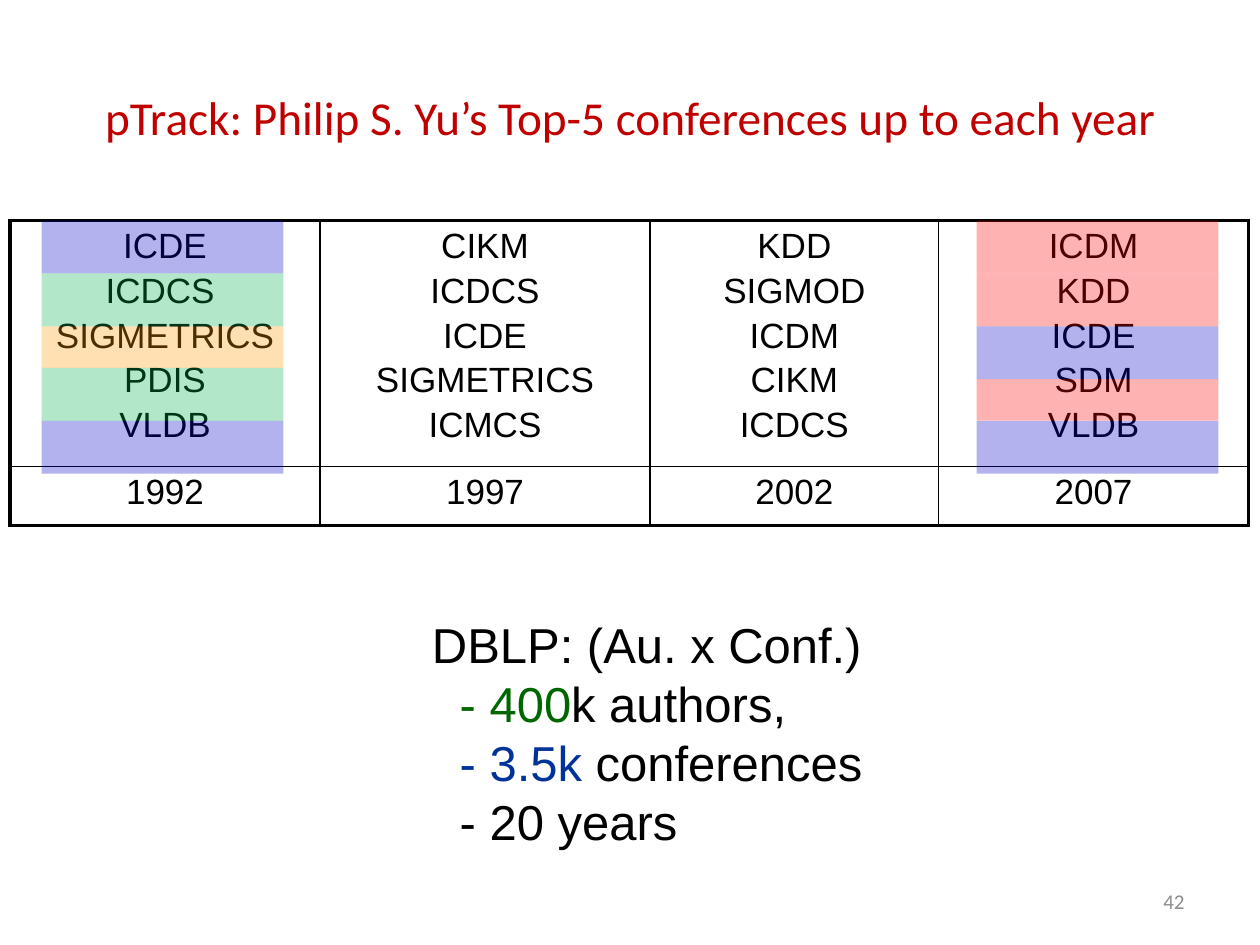
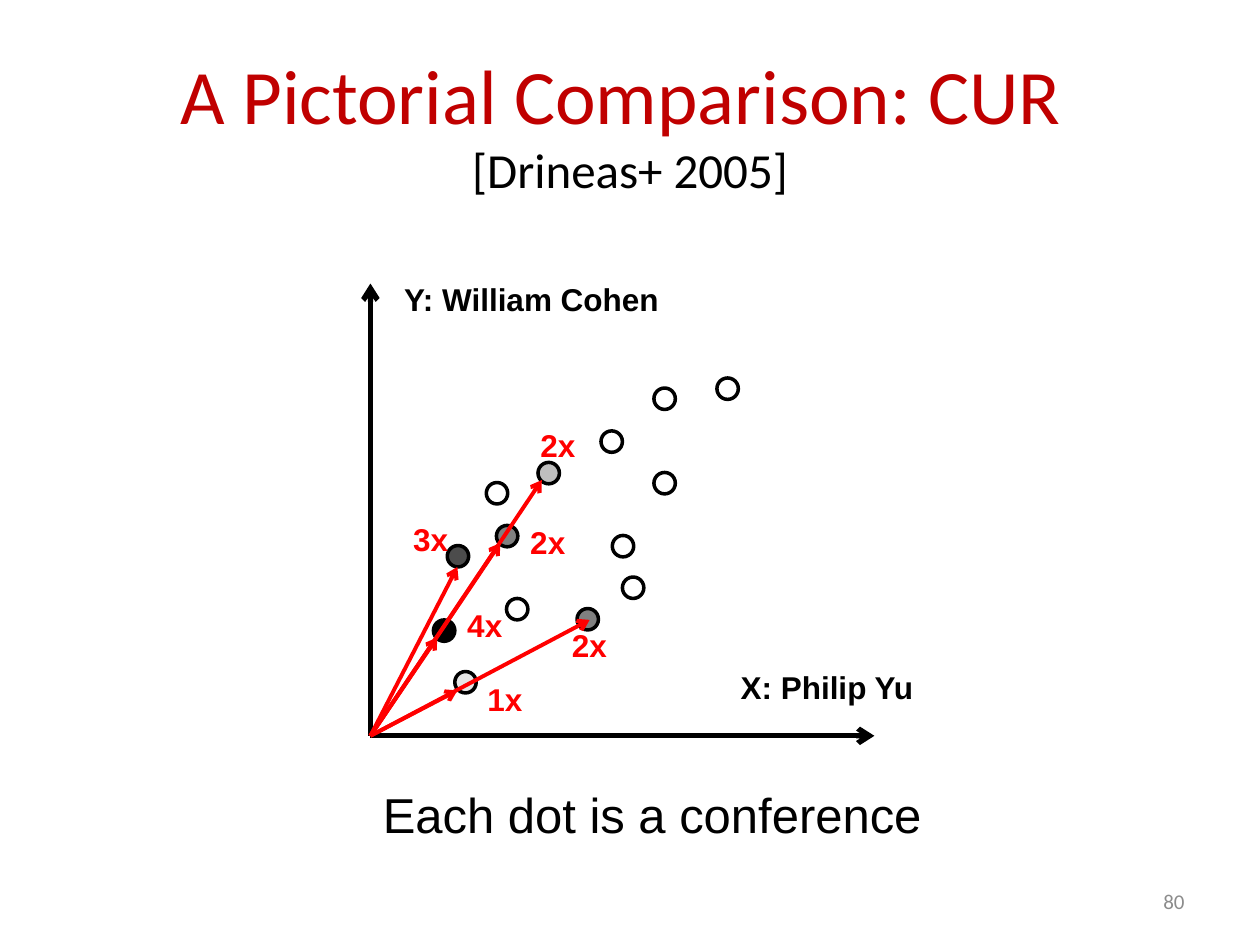
from lxml import etree
from pptx import Presentation
from pptx.dml.color import RGBColor
from pptx.enum.shapes import MSO_CONNECTOR, MSO_SHAPE
from pptx.enum.text import MSO_ANCHOR, MSO_AUTO_SIZE, PP_ALIGN
from pptx.oxml.ns import qn
from pptx.util import Pt

RECT = MSO_SHAPE.RECTANGLE
DOT = MSO_SHAPE.FLOWCHART_CONNECTOR
STRAIGHT = MSO_CONNECTOR.STRAIGHT
CENTER, RIGHT, LEFT = PP_ALIGN.CENTER, PP_ALIGN.RIGHT, PP_ALIGN.LEFT
MIDDLE, TOP = MSO_ANCHOR.MIDDLE, MSO_ANCHOR.TOP
NO_AUTOSIZE = MSO_AUTO_SIZE.NONE

EMU_PER_PX = 9144
TITLE_ONLY = 5
COLORS = {
    "title": "C00000", "black": "000000", "white": "FFFFFF", "number": "8C8C8C",
    "red": "FF0000", "blue": "0000CC", "green": "00B050", "orange": "FF9900",
    "authors": "006600", "conferences": "003399",
    "gray90": "E6E6E6", "gray75": "BFBFBF", "gray50": "808080", "gray30": "4C4C4C",
}


def px(*lengths):
    return [round(length * EMU_PER_PX) for length in lengths]


def rgb(name):
    return RGBColor.from_string(COLORS[name])


def style_run(r, size, color="black", font="Arial", bold=False):
    r.font.size = Pt(size)
    r.font.name = font
    r.font.bold = bold
    r.font.color.rgb = rgb(color)


def add_text(s, box, text, size, color="black", font="Arial", bold=False,
             align=LEFT, anchor=TOP, wrap=True):
    tf = s.shapes.add_textbox(*px(*box)).text_frame
    tf.word_wrap = wrap
    tf.vertical_anchor = anchor
    tf.text = text
    for p in tf.paragraphs:
        p.alignment = align
        for r in p.runs:
            style_run(r, size, color, font, bold)
    return tf


def add_shape(s, kind, box, fill, line=None, alpha=None):
    sp = s.shapes.add_shape(kind, *px(*box))
    sp.shadow.inherit = False
    sp.fill.solid()
    sp.fill.fore_color.rgb = rgb(fill)
    if alpha:
        color = sp.fill._xPr.find(qn("a:solidFill"))[0]
        etree.SubElement(color, qn("a:alpha")).set("val", str(alpha * 1000))
    if line:
        sp.line.color.rgb = rgb(line)
        sp.line.width = Pt(2)
    else:
        sp.line.fill.background()


def add_arrow(s, start, end, color, width):
    cx = s.shapes.add_connector(STRAIGHT, *px(*start, *end))
    cx.line.color.rgb = rgb(color)
    cx.line.width = Pt(width)
    etree.SubElement(cx.line._get_or_add_ln(), qn("a:tailEnd")).set("type", "arrow")
    etree.SubElement(cx._element.spPr, qn("a:effectLst"))


def new_slide(prs, title_box, title_lines, number):
    s = prs.slides.add_slide(prs.slide_layouts[TITLE_ONLY])
    title = s.shapes.title
    title.left, title.top, title.width, title.height = px(*title_box)
    tf = title.text_frame
    tf.auto_size = NO_AUTOSIZE
    tf.vertical_anchor = MIDDLE
    tf.text = "\v".join(text for text, _, _ in title_lines)
    p = tf.paragraphs[0]
    p.alignment = CENTER
    for r, (_, size, color) in zip(p.runs, title_lines):
        style_run(r, size, color, "Calibri")
    add_text(s, (717, 695, 233, 40), number, 12, "number", "Calibri",
             align=RIGHT, anchor=MIDDLE)
    return s


def border_cell(cell, widths):
    tcPr = cell._tc.get_or_add_tcPr()
    for i, (side, width) in enumerate(widths.items()):
        ln = etree.Element(qn("a:ln" + side), w=str(Pt(width)))
        fill = etree.SubElement(ln, qn("a:solidFill"))
        etree.SubElement(fill, qn("a:srgbClr")).set("val", COLORS["black"])
        tcPr.insert(i, ln)


def conference_table(s, box, rankings):
    widths, heights = (246, 262, 229, 246), (187, 47)
    table = s.shapes.add_table(2, len(widths), *px(*box)).table
    table.first_row = table.horz_banding = False
    for row, height in zip(table.rows, px(*heights)):
        row.height = height
    outer, inner = 2.25, 1
    last = len(widths) - 1
    for c, (year, conferences) in enumerate(rankings.items()):
        table.columns[c].width = px(widths[c])[0]
        for row, text in enumerate(("\n".join(conferences), year)):
            cell = table.cell(row, c)
            cell.fill.background()
            border_cell(cell, {
                "L": outer if c == 0 else inner, "R": outer if c == last else inner,
                "T": outer if row == 0 else inner, "B": outer if row == 1 else inner,
            })
            cell.text_frame.text = text
            for i, p in enumerate(cell.text_frame.paragraphs):
                p.alignment = CENTER
                p.space_before = Pt(3.3 if i else 0)
                style_run(p.runs[0], 20)


def highlight_column(s, x, y, bands):
    for color, height in bands:
        add_shape(s, RECT, (x, y, 192, height), color, alpha=30)
        y += height


def dataset_summary(s, box):
    lines = [
        [("DBLP: (Au. x Conf.)", "black")],
        [("- 400", "authors"), ("k authors,", "black")],
        [("- 3.5k ", "conferences"), ("conferences", "black")],
        [("- 20 years", "black")],
    ]
    tf = add_text(s, box, "", 28)
    for i, parts in enumerate(lines):
        p = tf.add_paragraph() if i else tf.paragraphs[0]
        if i:
            p._p.get_or_add_pPr().set("marL", str(px(22)[0]))
        for text, color in parts:
            r = p.add_run()
            r.text = text
            style_run(r, 28, color)


def ptrack_slide(prs):
    s = new_slide(prs, (0, 30, 1000, 125), [
        ("pTrack: Philip S. Yu’s Top-5 conferences up to each year", 27, "title")], "42")
    conference_table(s, (8, 175, 983, 234), {
        "1992": ("ICDE", "ICDCS ", "SIGMETRICS", "PDIS", "VLDB"),
        "1997": ("CIKM", "ICDCS", "ICDE", "SIGMETRICS", "ICMCS"),
        "2002": ("KDD", "SIGMOD", "ICDM", "CIKM", "ICDCS"),
        "2007": ("ICDM", "KDD", "ICDE", "SDM", "VLDB"),
    })
    highlight_column(s, 33, 175, [("blue", 42), ("green", 42), ("orange", 33),
                                  ("green", 42), ("blue", 42)])
    highlight_column(s, 775, 175, [("red", 42), ("red", 42), ("blue", 42),
                                   ("red", 33), ("blue", 42)])
    dataset_summary(s, (333, 483, 369, 199))


def scatter_plot(s, box):
    left, top, width, height = box
    dot = 17
    open_dots = [(92, 158), (108, 250), (192, 200), (225, 150),
                 (183, 117), (200, 233), (225, 83), (275, 75)]
    samples = [
        ("black", (50, 267), (53, 281), "4x", (67, 251)),
        ("gray75", (133, 142), (136, 156), "2x", (125, 108)),
        ("gray30", (61, 208), (69, 225), "3x", (24, 183)),
        ("gray50", (100, 192), (103, 206), "2x", (117, 185)),
        ("gray50", (164, 258), (174, 267), "2x", (150, 267)),
        ("gray90", (67, 308), (69, 323), "1x", (83, 310)),
    ]

    def at(point):
        return left + point[0], top + point[1]

    origin = at((0, height))
    for end in ((width, height), (0, 0)):
        add_arrow(s, origin, at(end), "black", 3)
    dots = [("white", point) for point in open_dots]
    dots += [(fill, point) for fill, point, *_ in samples]
    for fill, point in dots:
        add_shape(s, DOT, (*at(point), dot, dot), fill, "black")
    for _, _, tip, _, _ in samples:
        add_arrow(s, origin, at(tip), "red", 2.25)
    for _, _, _, count, point in samples:
        add_text(s, (*at(point), 48, 40), count, 18, "red", bold=True, wrap=False)
    add_text(s, (*at((284, 300)), 180, 40), "X: Philip Yu", 18, bold=True)
    add_text(s, (*at((17, -8)), 239, 40), "Y: William Cohen", 18, bold=True)


def cur_slide(prs):
    s = new_slide(prs, (50, 30, 900, 135), [
        ("A Pictorial Comparison: CUR ", 44, "title"),
        ("[Drineas+ 2005]", 28, "black")], "80")
    scatter_plot(s, (294, 225, 400, 359))
    add_text(s, (294, 618, 453, 57), "Each dot is a conference", 28)


def main():
    prs = Presentation()
    prs.slide_width, prs.slide_height = px(1000, 750)
    ptrack_slide(prs)
    cur_slide(prs)
    prs.save("out.pptx")


if __name__ == "__main__":
    main()
